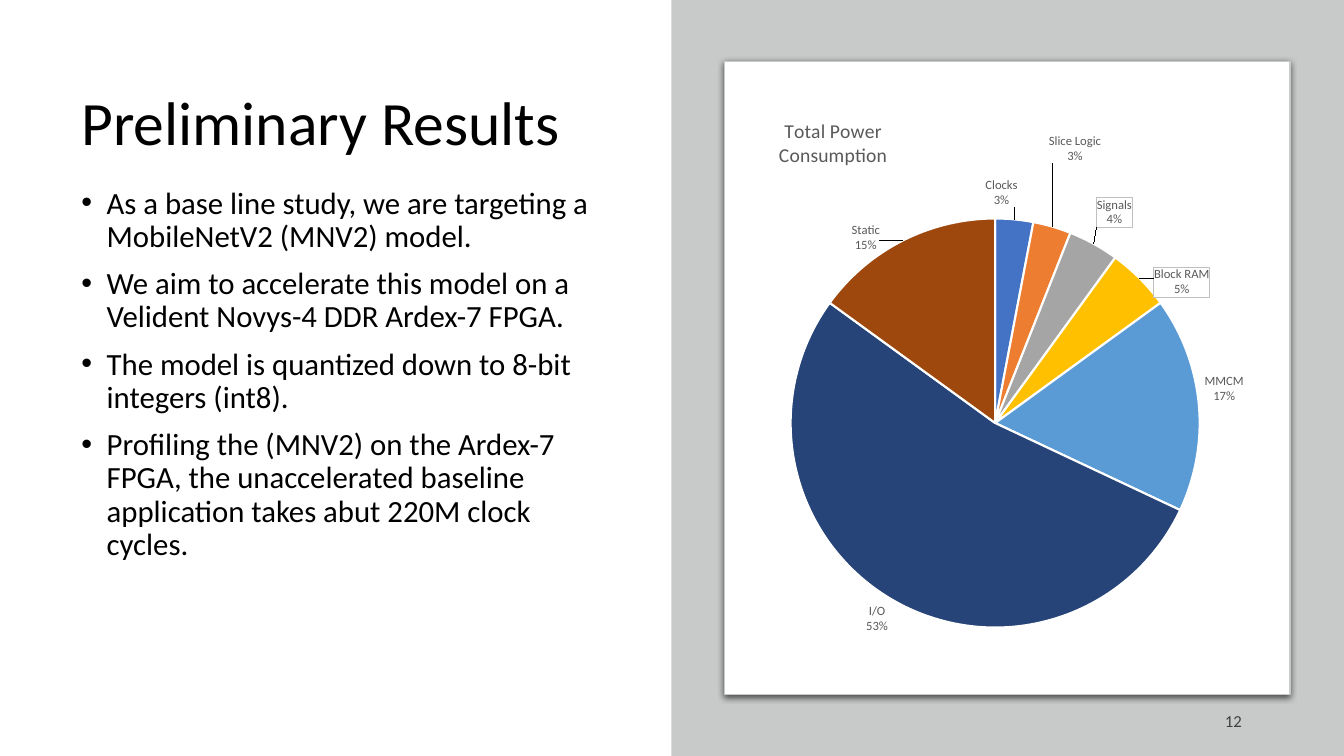
"""Build the preliminary results slide with bullets and a power consumption pie."""
from pptx import Presentation
from pptx.chart.data import CategoryChartData
from pptx.dml.color import RGBColor
from pptx.enum.chart import XL_CHART_TYPE, XL_LABEL_POSITION as LabelPos
from pptx.enum.shapes import MSO_SHAPE as Shape
from pptx.enum.text import MSO_ANCHOR as Anchor, PP_ALIGN as Align
from pptx.oxml import parse_xml
from pptx.oxml.ns import nsdecls
from pptx.util import Cm, Pt

FONT = "Calibri"
BLACK = RGBColor(0x00, 0x00, 0x00)
WHITE = RGBColor(0xFF, 0xFF, 0xFF)
SIDE_GREY = RGBColor(0xC8, 0xCA, 0xCA)
NUMBER_GREY = RGBColor(0x40, 0x40, 0x40)
LABEL_GREY = RGBColor(0x59, 0x59, 0x59)
BORDER_GREY = RGBColor(0xBF, 0xBF, 0xBF)

BULLETS = [
    "As a base line study, we are targeting a MobileNetV2 (MNV2) model.",
    "We aim to accelerate this model on a Velident Novys-4 DDR Ardex-7 FPGA.",
    "The model is quantized down to 8-bit integers (int8).",
    "Profiling the (MNV2) on the Ardex-7 FPGA, the unaccelerated baseline "
    "application takes abut 220M clock cycles.",
]
POWER = [
    ("Clocks", 3, RGBColor(0x44, 0x72, 0xC4)),
    ("Slice Logic", 3, RGBColor(0xED, 0x7D, 0x31)),
    ("Signals", 4, RGBColor(0xA5, 0xA5, 0xA5)),
    ("Block RAM", 5, RGBColor(0xFF, 0xC0, 0x00)),
    ("MMCM", 17, RGBColor(0x5B, 0x9B, 0xD5)),
    ("", None, RGBColor(0x70, 0xAD, 0x47)),
    ("I/O", 53, RGBColor(0x26, 0x44, 0x78)),
    ("Static", 15, RGBColor(0x9E, 0x48, 0x0E)),
]
WHITE_FILL = f'<a:solidFill><a:srgbClr val="{WHITE}"/></a:solidFill>'
BORDER = f'<a:ln w="6350"><a:solidFill><a:srgbClr val="{BORDER_GREY}"/></a:solidFill></a:ln>'
MOVED_LABELS = [
    (0, -0.06, -0.01, ""),
    (1, -0.01, -0.10, ""),
    (2, 0, -0.02, WHITE_FILL + BORDER),
    (3, 0.02, 0.04, WHITE_FILL + BORDER),
    (7, -0.04, 0.03, WHITE_FILL),
]


def add_text(s, box, lines, size, color, anchor=Anchor.TOP):
    tf = s.shapes.add_textbox(*[Cm(v) for v in box]).text_frame
    tf.word_wrap = True
    tf.vertical_anchor = anchor
    for i, line in enumerate(lines):
        p = tf.paragraphs[0] if i == 0 else tf.add_paragraph()
        r = p.add_run()
        r.text = line
        r.font.name, r.font.size, r.font.color.rgb = FONT, Pt(size), color
    return tf.paragraphs


def layout_xml(**values):
    items = "".join(f'<c:{k} val="{v}"/>' for k, v in values.items())
    return f'<c:layout {nsdecls("c")}><c:manualLayout>{items}</c:manualLayout></c:layout>'


prs = Presentation()
prs.slide_width, prs.slide_height = Cm(33.87), Cm(19.05)
s = prs.slides.add_slide(prs.slide_layouts[6])

title = add_text(s, (1.8, 1.75, 13.74, 2.84), ["Preliminary Results"], 44, BLACK, Anchor.MIDDLE)
title[0].line_spacing = 0.9

for p in add_text(s, (1.8, 4.6, 13.74, 12.7), BULLETS, 22, BLACK):
    p.line_spacing, p.space_before = 0.9, Pt(10)
    pPr = p._p.get_or_add_pPr()
    pPr.set("marL", str(Cm(0.64)))
    pPr.set("indent", str(-Cm(0.64)))
    pPr.append(parse_xml(f'<a:buFont {nsdecls("a")} typeface="Arial"/>'))
    pPr.append(parse_xml(f'<a:buChar {nsdecls("a")} char="•"/>'))

side = s.shapes.add_shape(Shape.RECTANGLE, Cm(16.92), 0, Cm(16.95), Cm(19.05))
side.shadow.inherit = False
side.fill.solid()
side.fill.fore_color.rgb = SIDE_GREY
side.line.fill.background()

panel = s.shapes.add_shape(Shape.ROUNDED_RECTANGLE, Cm(18.26), Cm(1.55), Cm(14.25), Cm(15.95))
panel.adjustments[0] = 0
panel.fill.solid()
panel.fill.fore_color.rgb = WHITE
panel.line.color.rgb = SIDE_GREY
panel.line.width = Pt(0.75)
panel._element.spPr.append(parse_xml(
    f'<a:effectLst {nsdecls("a")}><a:outerShdw blurRad="{Pt(4.5)}" dist="{Pt(1.5)}" dir="5400000" '
    f'algn="t" rotWithShape="0"><a:srgbClr val="{BLACK}"><a:alpha val="63000"/></a:srgbClr>'
    '</a:outerShdw></a:effectLst>'))

number = add_text(s, (28.78, 17.65, 2.77, 1.02), ["12"], 12, NUMBER_GREY, Anchor.MIDDLE)
number[0].alignment, number[0].space_after = Align.RIGHT, Pt(6)

data = CategoryChartData()
data.categories = [name for name, _, _ in POWER]
data.add_series("Series 1", [share for _, share, _ in POWER])
chart = s.shapes.add_chart(
    XL_CHART_TYPE.PIE, Cm(19.18), Cm(2.31), Cm(12.42), Cm(14.4), data).chart
chart.has_legend = False
chart.font.name, chart.font.size, chart.font.color.rgb = FONT, Pt(10), BLACK

tf = chart.chart_title.text_frame
for i, line in enumerate(["Total Power", "Consumption"]):
    p = tf.paragraphs[0] if i == 0 else tf.add_paragraph()
    r = p.add_run()
    r.text = line
    r.font.name, r.font.size, r.font.bold = FONT, Pt(14), False
    r.font.color.rgb = LABEL_GREY
chart_title = chart.chart_title._element
for old in chart_title.xpath("c:layout"):
    chart_title.remove(old)
chart_title.xpath("c:tx")[0].addnext(
    parse_xml(layout_xml(xMode="edge", yMode="edge", x=0.03, y=0.04)))

plot = chart.plots[0]
plot.vary_by_categories = True
plot_area = chart._chartSpace.chart.plotArea
for old in plot_area.xpath("c:layout"):
    plot_area.remove(old)
plot_area.insert(0, parse_xml(layout_xml(
    layoutTarget="inner", xMode="edge", yMode="edge", x=0.06, y=0.22, w=0.83, h=0.72)))

pie = plot.series[0]
for i, (_, _, color) in enumerate(POWER):
    wedge = pie.points[i].format
    wedge.fill.solid()
    wedge.fill.fore_color.rgb = color
    wedge.line.color.rgb = WHITE
    wedge.line.width = Pt(1.5)

labels = pie.data_labels
labels.show_category_name = labels.show_percentage = True
labels.show_value = False
labels.position = LabelPos.OUTSIDE_END
labels.font.name, labels.font.size, labels.font.color.rgb = FONT, Pt(9), LABEL_GREY
dLbls = labels._element
shows = "".join(f'<c:show{k} val="{v}"/>' for k, v in (
    ("LegendKey", 0), ("Val", 0), ("CatName", 1), ("SerName", 0), ("Percent", 1), ("BubbleSize", 0)))
separator = "<c:separator>\n</c:separator>"
dLbls.xpath("c:showBubbleSize|c:showPercent")[-1].addnext(
    parse_xml(f'<c:separator {nsdecls("c")}>\n</c:separator>'))
point_labels = {5: '<c:delete val="1"/>'}
for idx, x, y, look in MOVED_LABELS:
    point_labels[idx] = (
        f'{layout_xml(x=x, y=y)}<c:spPr>{look or "<a:noFill/>"}</c:spPr>'
        f'<c:txPr><a:bodyPr/><a:p><a:pPr><a:defRPr sz="900"><a:solidFill><a:srgbClr val="{LABEL_GREY}"/>'
        f'</a:solidFill><a:latin typeface="{FONT}"/></a:defRPr></a:pPr></a:p></c:txPr>'
        f'<c:dLblPos val="bestFit"/>{shows}{separator}')
for place, idx in enumerate(sorted(point_labels)):
    dLbls.insert(place, parse_xml(
        f'<c:dLbl {nsdecls("c", "a")}><c:idx val="{idx}"/>{point_labels[idx]}</c:dLbl>'))

prs.save("out.pptx")
